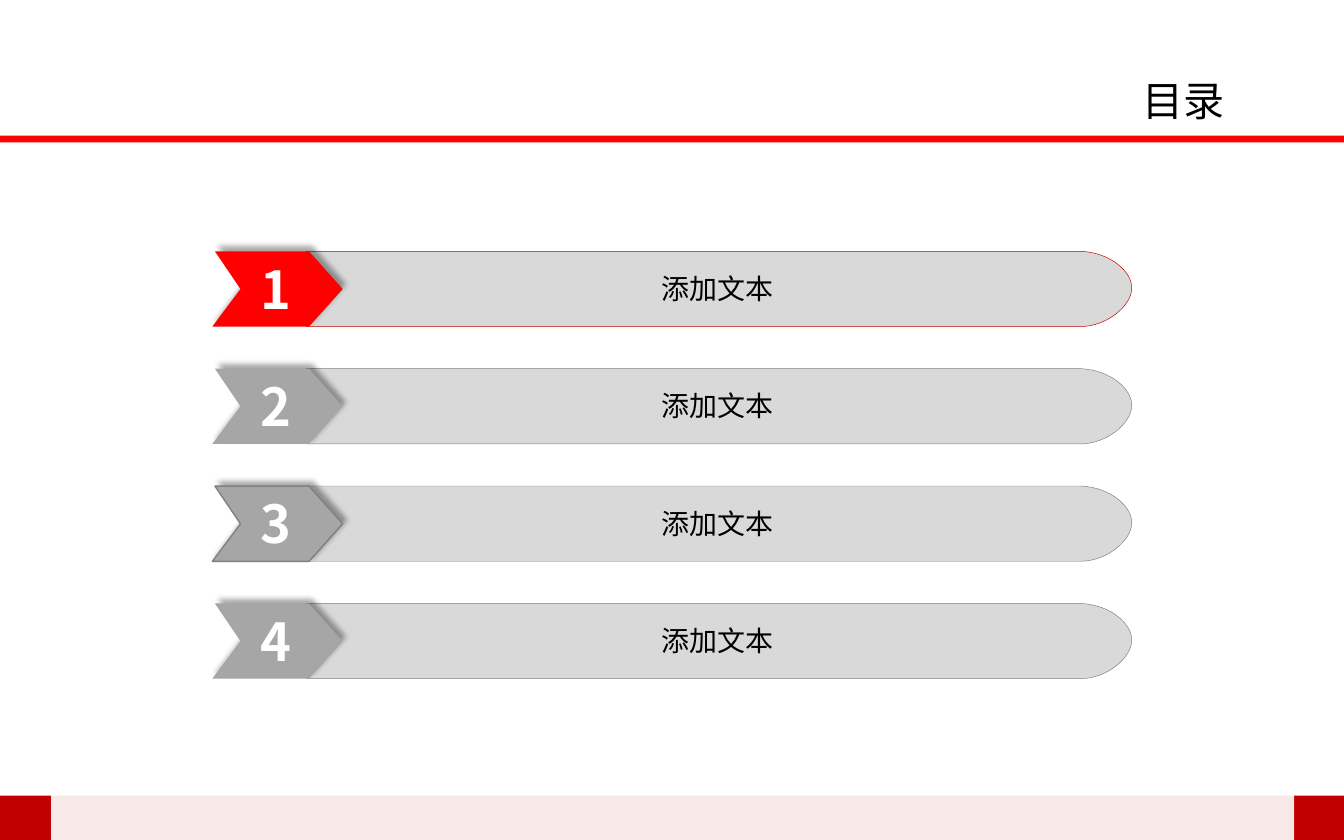
import pptx
import pptx.util
import pptx.dml.color
import pptx.enum.shapes
import pptx.enum.text
import lxml.etree

Inches = pptx.util.Inches
Pt = pptx.util.Pt
ALIGN = pptx.enum.text.PP_ALIGN

COLOURS = {
    "paper": "FFFFFF",
    "ink": "000000",
    "crimson": "C00000",
    "red": "FF0000",
    "bar": "D9D9D9",
    "marker": "A6A6A6",
    "edge": "808080",
}
FORMATS = {
    "title": {"size": Pt(22), "name": "Noto Sans CJK SC"},
    "entry": {"size": Pt(15), "name": "Noto Sans CJK SC"},
    "number": {"size": Pt(28), "name": "Noto Sans CJK JP", "bold": True},
}
FRAME = {
    "word_wrap": True,
    "margin_top": 0,
    "margin_bottom": 0,
    "vertical_anchor": pptx.enum.text.MSO_ANCHOR.MIDDLE,
}
BAR = [
    (2.28, 0), (8.04, 0),
    (8.27, 0.01), (8.43, 0.16), (8.42, 0.28),
    (8.42, 0.4), (8.24, 0.56), (8.04, 0.56),
    (2.28, 0.56),
]
BAR_CURVES = (1, 4)
MARKER = [(1.79, 0.28), (1.6, 0), (2.3, 0), (2.55, 0.28), (2.3, 0.56), (1.58, 0.56)]
MARKER_CENTRE = (2.065, 0.28)


def quarter_turn(points, centre):
    return [(centre[0] + centre[1] - y, centre[1] + x - centre[0]) for x, y in points]


class Deck:
    def __init__(self, width, height):
        self.presentation = pptx.Presentation()
        self.presentation.slide_width = Inches(width)
        self.presentation.slide_height = Inches(height)
        self.slide = self.presentation.slides.add_slide(self.presentation.slide_layouts[6])
        self.canvas = self.slide.shapes

    def colour(self, name):
        return pptx.dml.color.RGBColor.from_string(COLOURS[name])

    def paint(self, shape, fill, edge=None, weight=0.25):
        shape.shadow.inherit = False
        shape.fill.solid()
        shape.fill.fore_color.rgb = self.colour(fill)
        if edge:
            shape.line.color.rgb = self.colour(edge)
            shape.line.width = Pt(weight)
        else:
            shape.line.fill.background()
        return shape

    def band(self, left, top, width, height, fill, alpha=None):
        shape = self.canvas.add_shape(
            pptx.enum.shapes.MSO_SHAPE.RECTANGLE,
            Inches(left), Inches(top), Inches(width), Inches(height))
        self.paint(shape, fill)
        if alpha:
            tint = shape.fill._xPr.find(".//" + pptx.oxml.ns.qn("a:srgbClr"))
            lxml.etree.SubElement(tint, pptx.oxml.ns.qn("a:alpha"), val=str(alpha * 1000))

    def outline(self, points, top, fill, edge=None, weight=0.25, curves=()):
        corners = [(Inches(x), Inches(top + y)) for x, y in points]
        builder = self.canvas.build_freeform(*corners[0])
        builder.add_line_segments(corners[1:], close=True)
        shape = builder.convert_to_shape()
        self.bend(shape, curves)
        return self.paint(shape, fill, edge, weight)

    def bend(self, shape, curves):
        qn = pptx.oxml.ns.qn
        segments = shape._element.spPr.findall(".//" + qn("a:lnTo"))
        for start in curves:
            trio = segments[start:start + 3]
            bezier = lxml.etree.Element(qn("a:cubicBezTo"))
            trio[0].addprevious(bezier)
            for segment in trio:
                bezier.append(segment[0])
                segment.getparent().remove(segment)

    def cast_shadow(self, shape):
        qn = pptx.oxml.ns.qn
        effects = shape._element.spPr.find(qn("a:effectLst"))
        shadow = lxml.etree.SubElement(
            effects, qn("a:outerShdw"), blurRad=str(Pt(3.1)), dist=str(Pt(3)),
            dir=str(305 * 60000), algn="ctr", rotWithShape="0")
        tint = lxml.etree.SubElement(shadow, qn("a:srgbClr"), val=COLOURS["ink"])
        lxml.etree.SubElement(tint, qn("a:alpha"), val="35000")

    def marker(self, top, fill, edge):
        shape = self.outline(quarter_turn(MARKER, MARKER_CENTRE), top, fill, edge, 0.75)
        shape.rotation = 270
        self.cast_shadow(shape)

    def text(self, left, top, width, height, words, style, colour, align=ALIGN.CENTER):
        frame = self.canvas.add_textbox(
            Inches(left), Inches(top), Inches(width), Inches(height)).text_frame
        for key, value in FRAME.items():
            setattr(frame, key, value)
        paragraph = frame.paragraphs[0]
        paragraph.alignment = align
        run = paragraph.add_run()
        run.text = words
        for key, value in FORMATS[style].items():
            setattr(run.font, key, value)
        run.font.color.rgb = self.colour(colour)
        properties = run._r.get_or_add_rPr()
        lxml.etree.SubElement(
            properties, pptx.oxml.ns.qn("a:ea"), typeface=FORMATS[style]["name"])

    def agenda_row(self, number, top, words, bar_edge, marker_fill, marker_edge):
        self.canvas = self.slide.shapes.add_group_shape().shapes
        self.outline(BAR, top, "bar", bar_edge, curves=BAR_CURVES)
        self.text(4.67, top + 0.1, 1.34, 0.35, words, "entry", "ink")
        self.marker(top, marker_fill, marker_edge)
        self.text(1.78, top - 0.01, 0.55, 0.57, str(number), "number", "paper")
        self.canvas = self.slide.shapes


def main():
    deck = Deck(10, 6.25)
    deck.band(0, 5.92, 10, 0.34, "crimson")
    deck.band(0.38, 0, 9.25, 6.26, "paper", 91)
    deck.band(0, 1.01, 10, 0.05, "red")
    deck.text(8.11, 0.51, 1.1, 0.47, "目录", "title", "ink", ALIGN.RIGHT)

    first_top, last_top = 1.87, 4.49
    agenda = [
        ("添加文本", "crimson", "red", None),
        ("添加文本", "edge", "marker", None),
        ("添加文本", "edge", "marker", "edge"),
        ("添加文本", "edge", "marker", None),
    ]
    pitch = (last_top - first_top) / (len(agenda) - 1)
    for index, entry in enumerate(agenda):
        deck.agenda_row(index + 1, first_top + index * pitch, *entry)

    deck.presentation.save("out.pptx")


if __name__ == "__main__":
    main()
